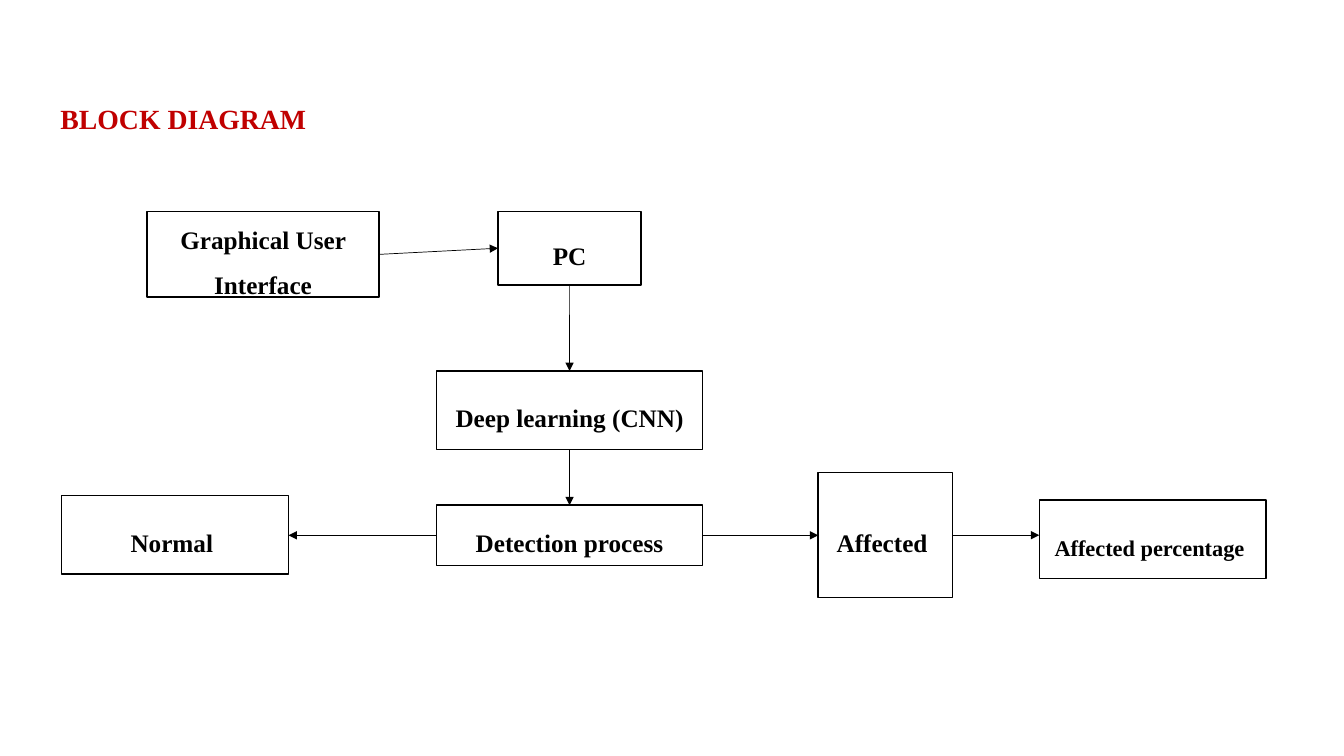
import pptx
import pptx.dml.color
import pptx.enum.shapes
import pptx.enum.text
import pptx.oxml
import pptx.oxml.ns
import pptx.util
from pptx.util import Cm

BLACK = pptx.dml.color.RGBColor(0x00, 0x00, 0x00)
WHITE = pptx.dml.color.RGBColor(0xFF, 0xFF, 0xFF)
RED = pptx.dml.color.RGBColor(0xC0, 0x00, 0x00)

# Connection sites of a rectangle
TOP, LEFT, BOTTOM, RIGHT = range(4)

# Stage: (runs of text and size, left, top, width, height), in cm from the diagram's corner
STAGES = {
    "interface": ([("Graphical User Interface", 18)], 2.16, 0, 5.84, 2.16),
    "pc": ([("PC", 18)], 11, 0, 3.61, 1.85),
    "learning": ([("Deep learning (CNN)", 18)], 9.45, 4.02, 6.71, 1.98),
    "detection": ([("Detection process", 18)], 9.45, 7.4, 6.71, 1.52),
    "affected": ([("Affected ", 18)], 19.07, 6.58, 3.38, 3.15),
    "percentage": ([("Affected percentage", 16), (" ", 18)], 24.64, 7.27, 5.72, 1.98),
    "normal": ([("Normal ", 18)], 0, 7.16, 5.72, 1.98),
}
FLOWS = [
    ("interface", RIGHT, "pc", LEFT),
    ("pc", BOTTOM, "learning", TOP),
    ("learning", BOTTOM, "detection", TOP),
    ("detection", RIGHT, "affected", LEFT),
    ("affected", RIGHT, "percentage", LEFT),
    ("detection", LEFT, "normal", RIGHT),
]


def write_label(frame, runs, color):
    """Fill a text frame with one centred bold line of (text, size) runs."""
    frame.word_wrap = True
    frame.vertical_anchor = pptx.enum.text.MSO_ANCHOR.MIDDLE
    paragraph = frame.paragraphs[0]
    paragraph.alignment = pptx.enum.text.PP_ALIGN.CENTER
    paragraph.line_spacing = 1.5
    for text, size in runs:
        run = paragraph.add_run()
        run.text = text
        run.font.color.rgb = color
        formats = {"name": "Times New Roman", "size": pptx.util.Pt(size), "bold": True}
        for attribute, value in formats.items():
            setattr(run.font, attribute, value)


def add_heading(slide, left, top, width, height):
    heading = slide.shapes.add_textbox(left, top, width, height)
    write_label(heading.text_frame, [("BLOCK DIAGRAM", 19.8)], RED)


def add_stage(slide, runs, left, top, width, height):
    stage = slide.shapes.add_shape(
        pptx.enum.shapes.MSO_SHAPE.RECTANGLE, left, top, width, height)
    stage.shadow.inherit = False
    stage.fill.solid()
    stage.fill.fore_color.rgb = WHITE
    stage.line.color.rgb = BLACK
    stage.line.width = pptx.util.Pt(1)
    write_label(stage.text_frame, runs, BLACK)
    return stage


def add_flow(slide, source, source_site, target, target_site):
    """Join two stages with an arrow, kept level when their middles nearly agree."""
    flow = slide.shapes.add_connector(
        pptx.enum.shapes.MSO_CONNECTOR.STRAIGHT, 0, 0, 0, 0)
    flow.begin_connect(source, source_site)
    flow.end_connect(target, target_site)
    if abs(flow.end_y - flow.begin_y) < Cm(0.12):
        flow.end_connect(target, target_site)
        flow._disconnect_end() if hasattr(flow, "_disconnect_end") else None
        flow.end_y = flow.begin_y
    flow.line.color.rgb = BLACK
    flow.line.width = pptx.util.Pt(0.5)
    tail = pptx.oxml.parse_xml(
        f'<a:tailEnd {pptx.oxml.ns.nsdecls("a")} type="triangle"/>')
    flow.line._get_or_add_ln().append(tail)
    flow._element.spPr.append(
        pptx.oxml.parse_xml(f'<a:effectLst {pptx.oxml.ns.nsdecls("a")}/>'))


def add_diagram(slide, left, top):
    stages = {
        key: add_stage(slide, runs, left + Cm(x), top + Cm(y), Cm(width), Cm(height))
        for key, (runs, x, y, width, height) in STAGES.items()
    }
    for source, source_site, target, target_site in FLOWS:
        add_flow(slide, stages[source], source_site, stages[target], target_site)


def main():
    deck = pptx.Presentation()
    deck.slide_width, deck.slide_height = Cm(33.87), Cm(19.05)
    slide = deck.slides.add_slide(deck.slide_layouts[6])
    add_heading(slide, Cm(-1.12), Cm(2.44), Cm(11.48), Cm(0.69))
    add_diagram(slide, Cm(1.55), Cm(5.33))
    deck.save("out.pptx")


if __name__ == "__main__":
    main()
